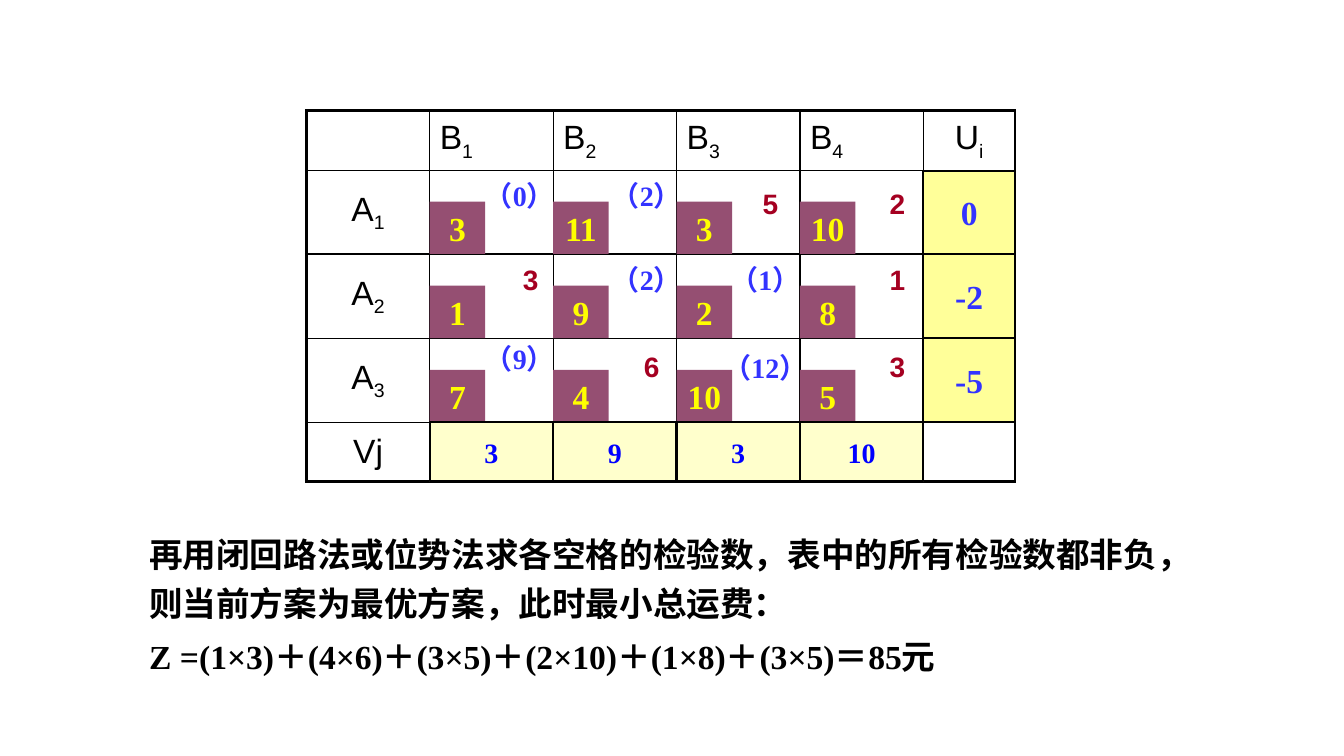
from dataclasses import dataclass
from itertools import accumulate

from lxml import etree
from pptx import Presentation
from pptx.dml.color import RGBColor
from pptx.enum.lang import MSO_LANGUAGE_ID
from pptx.enum.shapes import MSO_SHAPE
from pptx.enum.text import MSO_ANCHOR, PP_ALIGN
from pptx.oxml.ns import qn
from pptx.util import Cm, Pt

RECT = MSO_SHAPE.RECTANGLE
MIDDLE, TOP = MSO_ANCHOR.MIDDLE, MSO_ANCHOR.TOP
CENTER, LEFT = PP_ALIGN.CENTER, PP_ALIGN.LEFT
CHINESE = MSO_LANGUAGE_ID.SIMPLIFIED_CHINESE


@dataclass(frozen=True)
class Theme:
    sans: str = "Arial"
    serif: str = "Times New Roman"
    large: int = 24
    small: int = 20
    black: str = "000000"
    cost_fill: str = "954F72"
    cost_text: str = "FFFF00"
    flow: str = "A50021"
    u_fill: str = "FFFF99"
    v_fill: str = "FFFFCC"
    check: str = "3333FF"
    v_text: str = "0000FF"


T = Theme()


def style(r, size, font, color, bold=True):
    r.font.size, r.font.name, r.font.bold = Pt(size), font, bold
    r.font.color.rgb = RGBColor.from_string(color)


def add_label(box, text, size, color, font=T.serif, fill=None, outlined=False,
              align=CENTER, anchor=MIDDLE):
    x, y, w, h = (Cm(v) for v in box)
    if fill:
        sp = slide.shapes.add_shape(RECT, x, y, w, h)
        sp.shadow.inherit = False
        sp.fill.solid()
        sp.fill.fore_color.rgb = RGBColor.from_string(fill)
        if outlined:
            sp.line.color.rgb = RGBColor.from_string(T.black)
            sp.line.width = Pt(1.5)
        else:
            sp.line.fill.background()
    else:
        sp = slide.shapes.add_textbox(x, y, w, h)
    tf = sp.text_frame
    tf.word_wrap = False
    tf.vertical_anchor = anchor
    p = tf.paragraphs[0]
    p.text = text
    p.alignment = align
    style(p.runs[0], size, font, color)


prs = Presentation()
prs.slide_width, prs.slide_height = Cm(33.87), Cm(19.05)
slide = prs.slides.add_slide(prs.slide_layouts[6])

# Conclusion
tf = slide.shapes.add_textbox(Cm(3.51), Cm(13.13), Cm(27.08), Cm(4.06)).text_frame
tf.word_wrap = True
tf.text = ("再用闭回路法或位势法求各空格的检验数，表中的所有检验数都非负，"
           "则当前方案为最优方案，此时最小总运费：\n"
           "Z =(1×3)＋(4×6)＋(3×5)＋(2×10)＋(1×8)＋(3×5)＝85元")
for p in tf.paragraphs:
    p.line_spacing = 1.2
    style(p.runs[0], T.large, T.serif, T.black)
    p.runs[0].font.language_id = CHINESE
tf.paragraphs[1].space_before = Pt(3.6)

# Transport table: (name, subscript) headings and a ruled grid
col_widths = [3.11] * 5 + [2.31]
row_heights = [1.51, 2.1, 2.12, 2.12, 1.49]
col_x = list(accumulate(col_widths, initial=7.72))
row_y = list(accumulate(row_heights, initial=2.79))
headings = {(0, c): ("B", str(c)) for c in range(1, 5)}
headings |= {(r, 0): ("A", str(r)) for r in range(1, 4)}
headings |= {(0, 5): ("U", "i"), (4, 0): ("Vj", "")}

table = slide.shapes.add_table(5, 6, Cm(col_x[0]), Cm(row_y[0]),
                               Cm(sum(col_widths)), Cm(sum(row_heights))).table
table.first_row = table.horz_banding = False
for column, width in zip(table.columns, col_widths):
    column.width = Cm(width)
for row, height in zip(table.rows, row_heights):
    row.height = Cm(height)

for i in range(5):
    for j in range(6):
        cell = table.cell(i, j)
        cell.fill.background()
        cell.vertical_anchor = MIDDLE
        outer = {"L": j == 0, "R": j == 5, "T": i == 0, "B": i == 4}
        tc_pr = cell._tc.get_or_add_tcPr()
        for k, (side, thick) in enumerate(outer.items()):
            ln = etree.Element(qn(f"a:ln{side}"), w=str(Pt(2.25 if thick else 1)))
            fill = etree.SubElement(ln, qn("a:solidFill"))
            etree.SubElement(fill, qn("a:srgbClr"), val=T.black)
            tc_pr.insert(k, ln)
        if (i, j) in headings:
            p = cell.text_frame.paragraphs[0]
            p.alignment = CENTER if j in (0, 5) else LEFT
            for part, baseline in zip(headings[i, j], ("0", "-25000")):
                if part:
                    r = p.add_run()
                    r.text = part
                    style(r, T.large, T.sans, T.black, bold=False)
                    r.font._element.set("baseline", baseline)

# Unit costs, in the lower left corner of each cell
COST_W, COST_H = 1.4, 1.32
costs = [[3, 11, 3, 10], [1, 9, 2, 8], [7, 4, 10, 5]]
for i, row in enumerate(costs, 1):
    for j, cost in enumerate(row, 1):
        add_label((col_x[j], row_y[i + 1] - COST_H, COST_W, COST_H), str(cost),
                  T.large, T.cost_text, fill=T.cost_fill)

# Shipped quantities
flows = [(18.97, 4.57, "5"), (22.17, 4.57, "2"), (12.93, 6.48, "3"),
         (22.17, 6.48, "1"), (15.98, 8.69, "6"), (22.17, 8.69, "3")]
for x, y, text in flows:
    add_label((x, y, 1.07, 1.09), text, T.small, T.flow, T.sans,
              align=LEFT, anchor=TOP)

# Potentials Ui and Vj, filling their cells
for i, u in enumerate(["0", "-2", "-5"], 1):
    add_label((col_x[5], row_y[i], col_widths[5], row_heights[i]), u,
              T.large, T.check, fill=T.u_fill, outlined=True)
for j, v in enumerate(["3", "9", "3", "10"], 1):
    add_label((col_x[j], row_y[4], col_widths[j], row_heights[4]), v,
              T.small, T.v_text, fill=T.v_fill, outlined=True)

# Check numbers of the empty cells: centre, top, number
CHECK_W, CHECK_H = 3.2, 1.32
checks = [(13.1, 4.27, "0"), (16.3, 4.27, "2"), (16.3, 6.38, "2"),
          (19.29, 6.38, "1"), (13.1, 8.38, "9"), (19.29, 8.59, "12")]
for center_x, y, number in checks:
    add_label((center_x - CHECK_W / 2, y, CHECK_W, CHECK_H), f"（{number}）",
              T.small, T.check)

prs.save("out.pptx")
